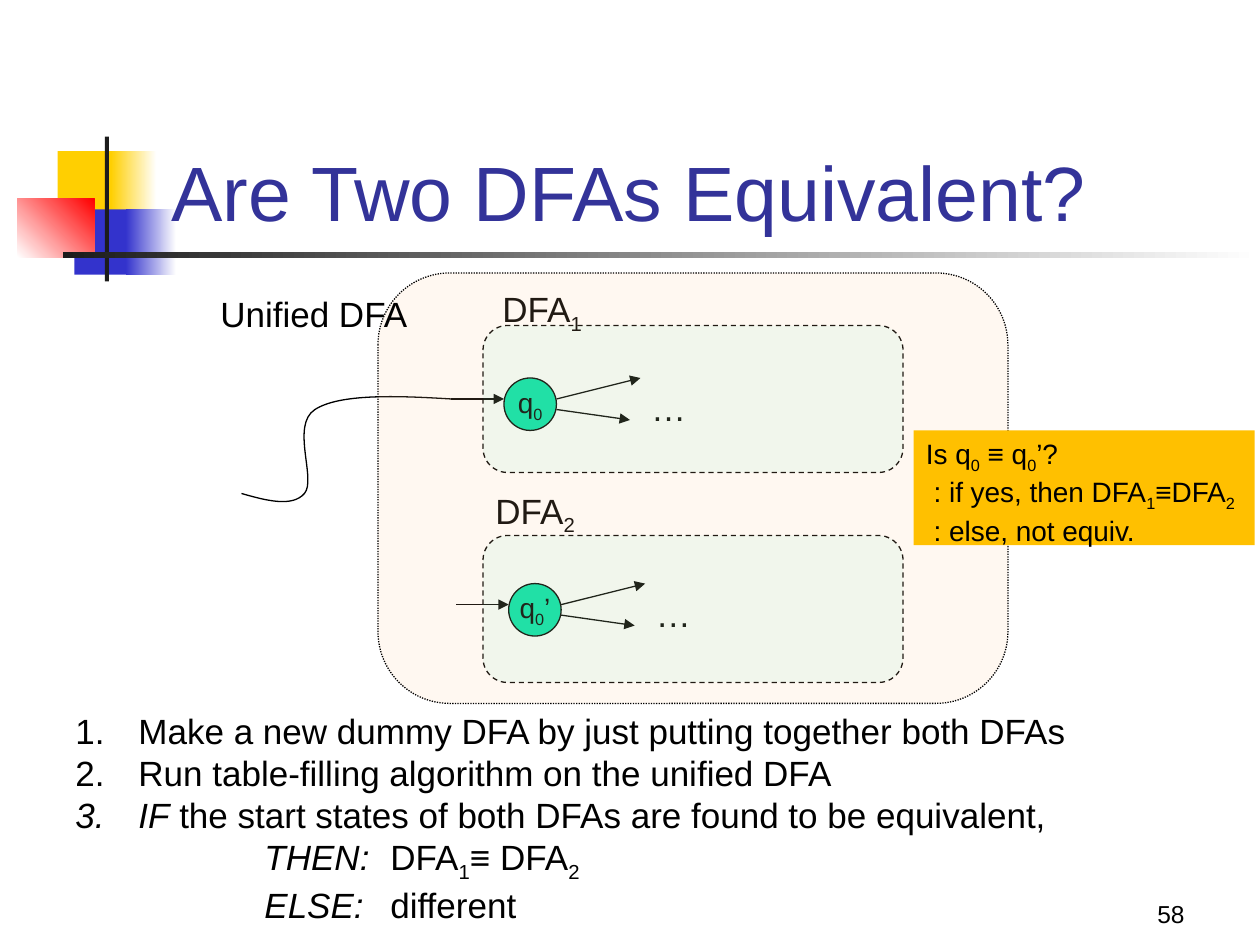
from pptx import Presentation
from pptx import util as u
from pptx.dml.color import RGBColor
from pptx.enum import dml, shapes, text
from pptx.oxml.ns import qn
from lxml import etree

BLACK = "000000"
GREEN = "00E4A8"
RECT = shapes.MSO_SHAPE.RECTANGLE
OVAL = shapes.MSO_SHAPE.OVAL
ROUND = shapes.MSO_SHAPE.ROUNDED_RECTANGLE
TOP = text.MSO_ANCHOR.TOP
MIDDLE = text.MSO_ANCHOR.MIDDLE
BOTTOM = text.MSO_ANCHOR.BOTTOM
LEFT = text.PP_ALIGN.LEFT
CENTER = text.PP_ALIGN.CENTER
RIGHT = text.PP_ALIGN.RIGHT


def rgb(value):
    return RGBColor.from_string(value)


def pts(*values):
    return [u.Pt(v) for v in values]


def write_runs(p, markup, size, color):
    # "|" toggles subscript, "*" toggles italic
    for n, line in enumerate(markup.split("\n")):
        if n:
            p.add_line_break()
        for i, chunk in enumerate(line.split("|")):
            for j, words in enumerate(chunk.split("*")):
                if not words:
                    continue
                r = p.add_run()
                r.text = words
                r.font.name = "Arial"
                r.font.size = u.Pt(size)
                r.font.color.rgb = rgb(color)
                if i % 2:
                    r.font._element.set("baseline", "-25000")
                if j % 2:
                    r.font.italic = True


def write(sp, paragraphs, size, color=BLACK, align=LEFT, anchor=TOP, wrap=False):
    tf = sp.text_frame
    tf.word_wrap = wrap
    tf.vertical_anchor = anchor
    for n, markup in enumerate(paragraphs):
        p = tf.add_paragraph() if n else tf.paragraphs[0]
        p.alignment = align
        write_runs(p, markup, size, color)


def add_text(s, box, *paragraphs, size=20, **style):
    sp = s.shapes.add_textbox(*pts(*box))
    write(sp, paragraphs, size, **style)
    return sp


def outline(sp, dash=None):
    sp.line.color.rgb = rgb(BLACK)
    sp.line.width = u.Pt(0.75)
    if dash:
        sp.line.dash_style = dash


def add_block(s, kind, box, color, alpha=None):
    sp = s.shapes.add_shape(kind, *pts(*box))
    sp.shadow.inherit = False
    sp.line.fill.background()
    sp.fill.solid()
    sp.fill.fore_color.rgb = rgb(color)
    if alpha:
        clr = sp.fill._xPr.find(".//" + qn("a:srgbClr"))
        etree.SubElement(clr, qn("a:alpha")).set("val", str(alpha * 1000))
    return sp


def add_fade(s, box, start, end, angle=0):
    sp = add_block(s, RECT, box, start)
    sp.fill.gradient()
    sp.fill.gradient_angle = angle
    for stop, color in zip(sp.fill.gradient_stops, (start, end)):
        stop.color.rgb = rgb(color)


def add_panel(s, box, color, alpha, dash):
    sp = add_block(s, ROUND, box, color, alpha)
    sp.adjustments[0] = 0.167
    outline(sp, dash)


def add_arrow(s, x1, y1, x2, y2):
    cx = s.shapes.add_connector(shapes.MSO_CONNECTOR.STRAIGHT, *pts(x1, y1, x2, y2))
    outline(cx)
    etree.SubElement(cx.line._get_or_add_ln(), qn("a:tailEnd")).set("type", "triangle")
    etree.SubElement(cx._element.spPr, qn("a:effectLst"))


def add_curve(s, points):
    fb = s.shapes.build_freeform(*points[0], scale=u.Pt(1))
    fb.add_line_segments(points[1:], close=False)
    sp = fb.convert_to_shape()
    sp.shadow.inherit = False
    sp.fill.background()
    outline(sp)
    segments = list(sp._element.iter(qn("a:lnTo")))
    for i in range(0, len(segments), 3):
        curve = etree.Element(qn("a:cubicBezTo"))
        segments[i].addprevious(curve)
        for segment in segments[i:i + 3]:
            curve.append(segment[0])
            segment.getparent().remove(segment)


def add_start_state(s, x, y, label):
    add_arrow(s, x - 30, y + 12, x, y + 12)
    sp = add_block(s, OVAL, (x, y, 30, 30), GREEN)
    outline(sp)
    write(sp, [label], 16, align=CENTER, anchor=MIDDLE)
    add_arrow(s, x + 30, y + 12, x + 78, y)
    add_arrow(s, x + 30, y + 18, x + 72, y + 24)
    add_text(s, (x + 77, y + 1.5, 34.5, 31), "…")


def add_numbered(s, box, *items):
    sp = add_text(s, box, *items, wrap=True)
    for p in sp.text_frame.paragraphs:
        pPr = p._p.get_or_add_pPr()
        pPr.set("marL", str(u.Pt(36)))
        pPr.set("indent", str(-u.Pt(36)))
        etree.SubElement(pPr, qn("a:buFont")).set("typeface", "Arial")
        etree.SubElement(pPr, qn("a:buAutoNum")).set("type", "arabicPeriod")


def add_ornament(s):
    add_block(s, RECT, (33, 86.4, 34.5, 37.4), "FFCF01")
    add_fade(s, (63.4, 86.4, 26, 37.4), "FFCF01", "FFFFFF")
    add_block(s, RECT, (42.5, 119.6, 33, 37.4), "3333CC")
    add_fade(s, (72, 119.6, 28.8, 37.4), "3333CC", "FFFFFF")
    add_fade(s, (10, 113.7, 44, 33.2), "FFFFFF", "FF0000", 45)
    add_block(s, RECT, (59.9, 78, 2.4, 82.8), "1C1C1C")
    add_fade(s, (36, 144, 684, 3.5), "1C1C1C", "FFFFFF")


def main():
    prs = Presentation()
    prs.slide_width, prs.slide_height = pts(720, 540)
    s = prs.slides.add_slide(prs.slide_layouts[6])

    add_ornament(s)
    add_text(s, (534, 498, 150, 36), "58", size=14, align=RIGHT, anchor=BOTTOM, wrap=True)
    add_text(s, (91, 49, 613, 90), "Are Two DFAs Equivalent?",
             size=44, color="333399", anchor=BOTTOM, wrap=True)

    automata = [(288, 216, "q|0|", 186), (290.7, 333.5, "q|0|’", 306)]
    for x, y, label, top in automata:
        add_start_state(s, x, y, label)
        add_panel(s, (276, top, 240, 84), GREEN, 6, dml.MSO_LINE.DASH)
    add_text(s, (280, 160.6, 62, 31), "DFA|1|")
    add_text(s, (276, 276, 62, 31), "DFA|2|")

    add_curve(s, [(138, 282), (152.5, 286), (167, 290), (174, 282),
                  (181, 274), (166, 243), (180, 234),
                  (194, 225), (226, 226.5), (258, 228)])
    add_panel(s, (216, 156, 360, 246), "FFCC99", 13, dml.MSO_LINE.ROUND_DOT)
    add_text(s, (118.8, 163.5, 122.4, 31), "Unified DFA")

    add_numbered(
        s, (36, 402, 618.5, 152.5),
        "Make a new dummy DFA by just putting together both DFAs",
        "Run table-filling algorithm on the unified DFA",
        "*IF* the start states of both DFAs are found to be equivalent, "
        "\n\t\t*THEN:*\tDFA|1|≡ DFA|2|\n\t\t*ELSE:*\tdifferent")

    question = add_block(s, RECT, (522, 246, 195, 65.5), "FFC000")
    write(question, ["Is q|0| ≡ q|0|’?\n : if yes, then DFA|1|≡DFA|2|",
                     " : else, not equiv."], 16)
    prs.save("out.pptx")


if __name__ == "__main__":
    main()
